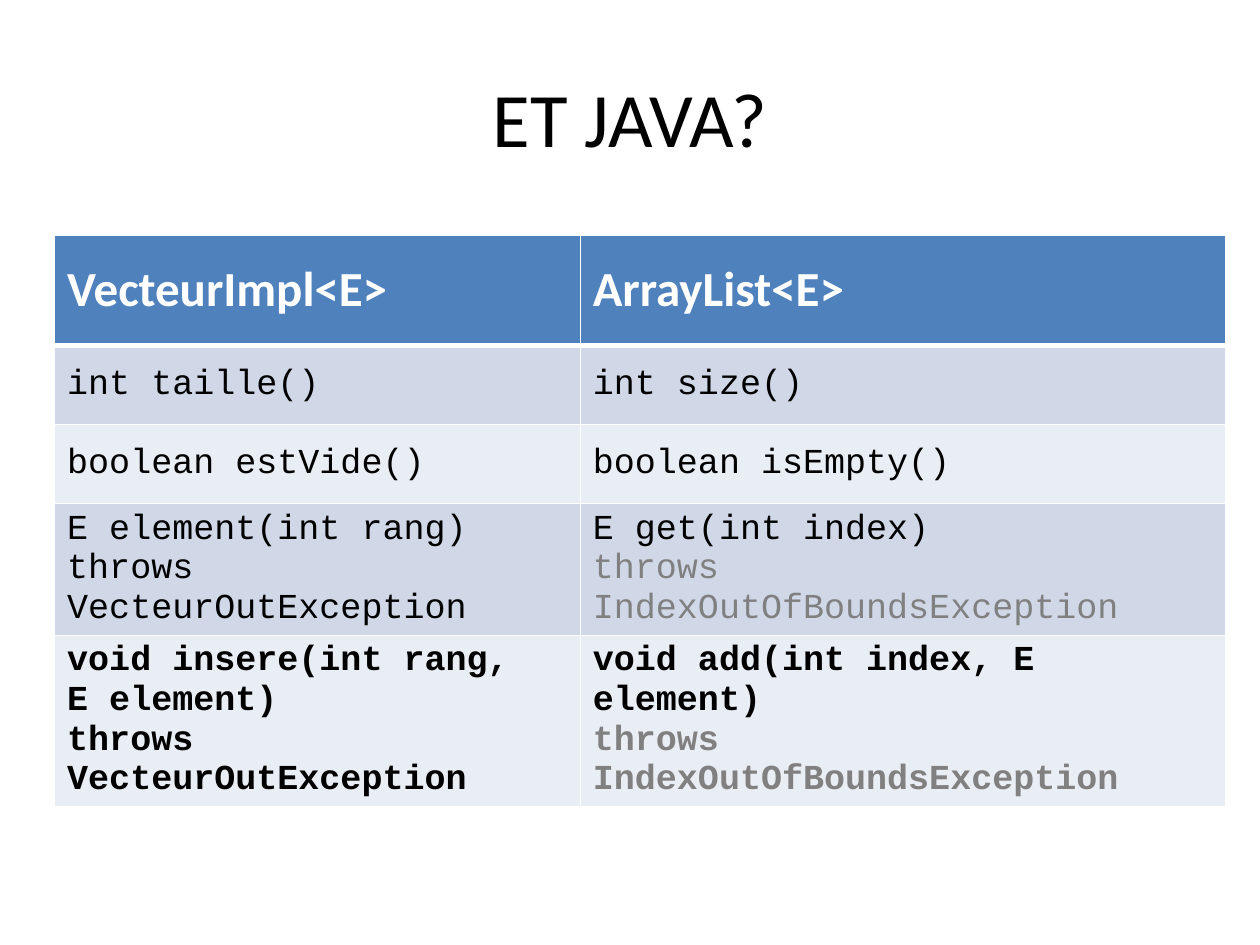
from dataclasses import dataclass

from lxml.etree import SubElement
from pptx import Presentation
from pptx.dml.color import RGBColor
from pptx.enum.text import MSO_ANCHOR, PP_ALIGN
from pptx.oxml.ns import qn
from pptx.util import Pt

BLACK, WHITE, GREY = "000000", "FFFFFF", "808080"
HEADER_FILL = "4F81BD"
BAND_FILLS = ("D0D8E8", "E9EDF4")


@dataclass(frozen=True)
class Style:
    size: float
    font: str
    color: str
    bold: bool = False


@dataclass(frozen=True)
class Method:
    vector: tuple[str, ...]
    array_list: tuple[str, ...]
    bold: bool = False


HEADINGS = ("VecteurImpl<E>", "ArrayList<E>")
INDEX_ERROR = "throws IndexOutOfBoundsException"
METHODS = (
    Method(("int taille()",), ("int size()",)),
    Method(("boolean estVide()",), ("boolean isEmpty()",)),
    Method(("E element(int rang) throws VecteurOutException",),
           ("E get(int index)", INDEX_ERROR)),
    Method(("void insere(int rang,", "E element)", "throws VecteurOutException"),
           ("void add(int index, E element)", INDEX_ERROR), bold=True),
)


def rgb(color: str) -> RGBColor:
    return RGBColor.from_string(color)


def write_para(para, text: str, style: Style) -> None:
    para.text = text
    for span in para.runs:
        span.font.size = Pt(style.size)
        span.font.name = style.font
        span.font.bold = style.bold
        span.font.color.rgb = rgb(style.color)


def set_borders(cell, top: float, bottom: float) -> None:
    """Draw white cell borders; the lines must precede the fill in the XML."""
    properties = cell._tc.get_or_add_tcPr()
    widths = {"a:lnL": 1, "a:lnR": 1, "a:lnT": top, "a:lnB": bottom}
    for position, (tag, width) in enumerate(widths.items()):
        line = SubElement(properties, qn(tag), w=str(Pt(width)))
        SubElement(SubElement(line, qn("a:solidFill")), qn("a:srgbClr"), val=WHITE)
        properties.insert(position, line)


def fill_cell(cell, lines: tuple[str, ...], style: Style, fill: str,
              top: float = 1, bottom: float = 1) -> None:
    cell.fill.solid()
    cell.fill.fore_color.rgb = rgb(fill)
    cell.vertical_anchor = MSO_ANCHOR.MIDDLE
    set_borders(cell, top, bottom)
    cell.text_frame.text = "\n".join(lines)
    for para, line in zip(cell.text_frame.paragraphs, lines):
        color = GREY if line == INDEX_ERROR else style.color
        write_para(para, line, Style(style.size, style.font, color, style.bold))


def add_title(page, text: str) -> None:
    title = page.shapes.title
    title.left, title.top, title.width, title.height = Pt(36), Pt(21.6), Pt(648), Pt(90)
    title.text_frame.vertical_anchor = MSO_ANCHOR.MIDDLE
    para = title.text_frame.paragraphs[0]
    write_para(para, text, Style(44, "Calibri", BLACK))
    para.alignment = PP_ALIGN.CENTER


def add_comparison(page) -> None:
    frame = page.shapes.add_table(len(METHODS) + 1, len(HEADINGS),
                                  Pt(31.2), Pt(134.2), Pt(669), Pt(336))
    table = frame.table
    for column, width in zip(table.columns, (300.4, 368.6)):
        column.width = Pt(width)
    for index, row in enumerate(table.rows):
        row.height = Pt(45.2 if index else 63.2)

    # Header row
    for column, heading in enumerate(HEADINGS):
        fill_cell(table.cell(0, column), (heading,),
                  Style(28, "Calibri", WHITE, True), HEADER_FILL, bottom=3)

    # Method rows, in alternating bands
    for row, method in enumerate(METHODS, start=1):
        style = Style(20, "Courier New", BLACK, method.bold)
        for column, lines in enumerate((method.vector, method.array_list)):
            fill_cell(table.cell(row, column), lines, style,
                      BAND_FILLS[(row - 1) % 2], top=3 if row == 1 else 1)


def main() -> None:
    deck = Presentation()
    deck.slide_width, deck.slide_height = Pt(720), Pt(540)
    page = deck.slides.add_slide(deck.slide_layouts[5])
    add_title(page, "ET JAVA?")
    add_comparison(page)
    deck.save("out.pptx")


if __name__ == "__main__":
    main()
